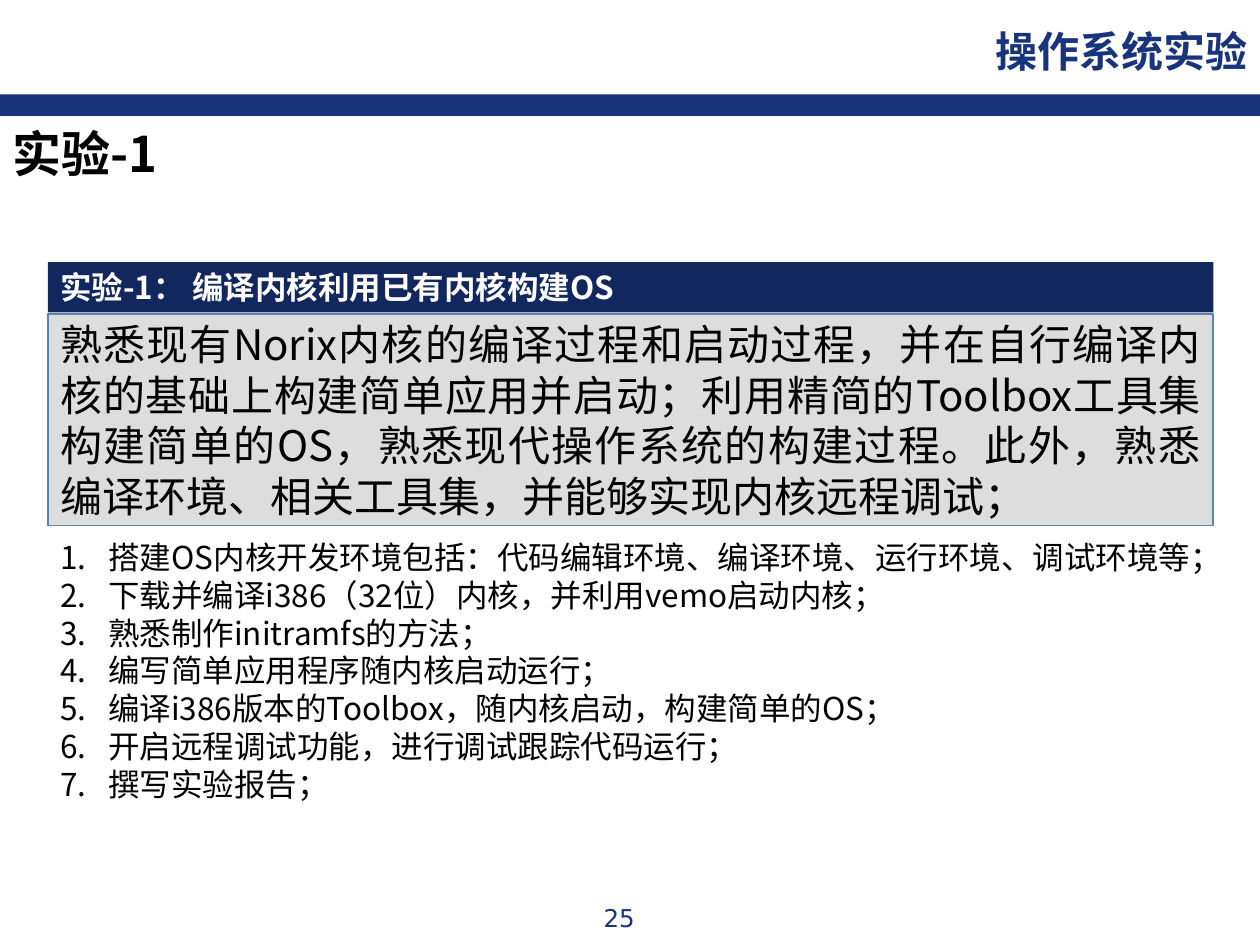
from lxml.etree import SubElement
from pptx import Presentation
from pptx.dml.color import RGBColor
from pptx.enum.shapes import MSO_SHAPE as Shape
from pptx.enum.text import MSO_ANCHOR as Anchor, MSO_AUTO_SIZE as AutoSize, PP_ALIGN as Align
from pptx.oxml.ns import qn
from pptx.util import Inches, Pt

SANS = "Noto Sans CJK SC"
NAVY, DARK_NAVY, GREY, STEEL = "17347D", "11275E", "DDDDDD", "5887AB"
BLACK, WHITE = "000000", "FFFFFF"
LEFT, WIDTH = 0.38, 9.25
INDENT = 0.38

COURSE = "操作系统实验"
TITLE = "实验-1"
PAGE = "25"
TASK = "实验-1： 编译内核利用已有内核构建OS"
GOAL = (
    "熟悉现有Norix内核的编译过程和启动过程，并在自行编译内核的基础上构建简单应用并启动；"
    "利用精简的Toolbox工具集构建简单的OS，熟悉现代操作系统的构建过程。"
    "此外，熟悉编译环境、相关工具集，并能够实现内核远程调试；"
)
STEPS = [
    "搭建OS内核开发环境包括：代码编辑环境、编译环境、运行环境、调试环境等；",
    "下载并编译i386（32位）内核，并利用vemo启动内核；",
    "熟悉制作initramfs的方法；",
    "编写简单应用程序随内核启动运行；",
    "编译i386版本的Toolbox，随内核启动，构建简单的OS；",
    "开启远程调试功能，进行调试跟踪代码运行；",
    "撰写实验报告；",
]


def rgb(value):
    """Turn a hex string into a colour."""
    return RGBColor.from_string(value)


def place(shape, left, top, width, height):
    """Move and size a shape in inches."""
    shape.left, shape.top = Inches(left), Inches(top)
    shape.width, shape.height = Inches(width), Inches(height)


def write(shape, lines, size, color, bold=False, align=Align.LEFT, anchor=Anchor.TOP, font=SANS):
    """Fill a shape with evenly formatted paragraphs."""
    frame = shape.text_frame
    frame.text = "\n".join(lines)
    frame.word_wrap = True
    frame.auto_size = AutoSize.NONE
    frame.vertical_anchor = anchor
    for paragraph in frame.paragraphs:
        paragraph.alignment = align
        paragraph.line_spacing = Pt(size * 1.2)
        paragraph.space_before = paragraph.space_after = Pt(0)
        paragraph.font.name = font
        paragraph.font.size = Pt(size)
        paragraph.font.bold = bold
        paragraph.font.color.rgb = rgb(color)


def number(paragraph):
    """Give a paragraph an automatic number with a hanging indent."""
    props = paragraph._p.get_or_add_pPr()
    props.set("marL", str(Inches(INDENT)))
    props.set("indent", str(-Inches(INDENT)))
    bullet = SubElement(props, qn("a:buAutoNum"), type="arabicPeriod")
    props.find(qn("a:defRPr")).addprevious(bullet)


def add_bar(slide, at, fill, line=None):
    """Add a flat rectangle."""
    bar = slide.shapes.add_shape(Shape.RECTANGLE, *map(Inches, at))
    bar.shadow.inherit = False
    bar.fill.solid()
    bar.fill.fore_color.rgb = rgb(fill)
    if line:
        bar.line.color.rgb = rgb(line)
        bar.line.width = Pt(1)
    else:
        bar.line.fill.background()
    return bar


def add_label(slide, at):
    """Add a text box."""
    return slide.shapes.add_textbox(*map(Inches, at))


def main():
    """Build the slide and save it."""
    deck = Presentation()
    deck.slide_width, deck.slide_height = Inches(10), Inches(7.5)
    slide = deck.slides.add_slide(deck.slide_layouts[1])

    add_bar(slide, (0, 0.75, 10, 0.17), NAVY)
    course = add_label(slide, (6.25, 0.15, 3.75, 0.5))
    write(course, [COURSE], 24, NAVY, bold=True, align=Align.RIGHT, font="Arial")
    page = add_label(slide, (3.75, 7.12, 2.33, 0.34))
    write(page, [PAGE], 14, NAVY, align=Align.CENTER, font="DejaVu Sans")

    title = slide.shapes.title
    place(title, 0, 0.93, 3.33, 0.57)
    write(title, [TITLE], 28, BLACK, bold=True)

    task = add_bar(slide, (LEFT, 2.08, WIDTH, 0.4), DARK_NAVY)
    write(task, [TASK], 18, WHITE, bold=True)
    goal = add_bar(slide, (LEFT, 2.49, WIDTH, 1.68), GREY, STEEL)
    write(goal, [GOAL], 24, BLACK, align=Align.JUSTIFY, anchor=Anchor.MIDDLE)

    steps = slide.placeholders[1]
    place(steps, LEFT, 4.22, WIDTH, 2.22)
    write(steps, STEPS, 18, BLACK)
    for paragraph in steps.text_frame.paragraphs:
        number(paragraph)

    deck.save("out.pptx")


if __name__ == "__main__":
    main()
